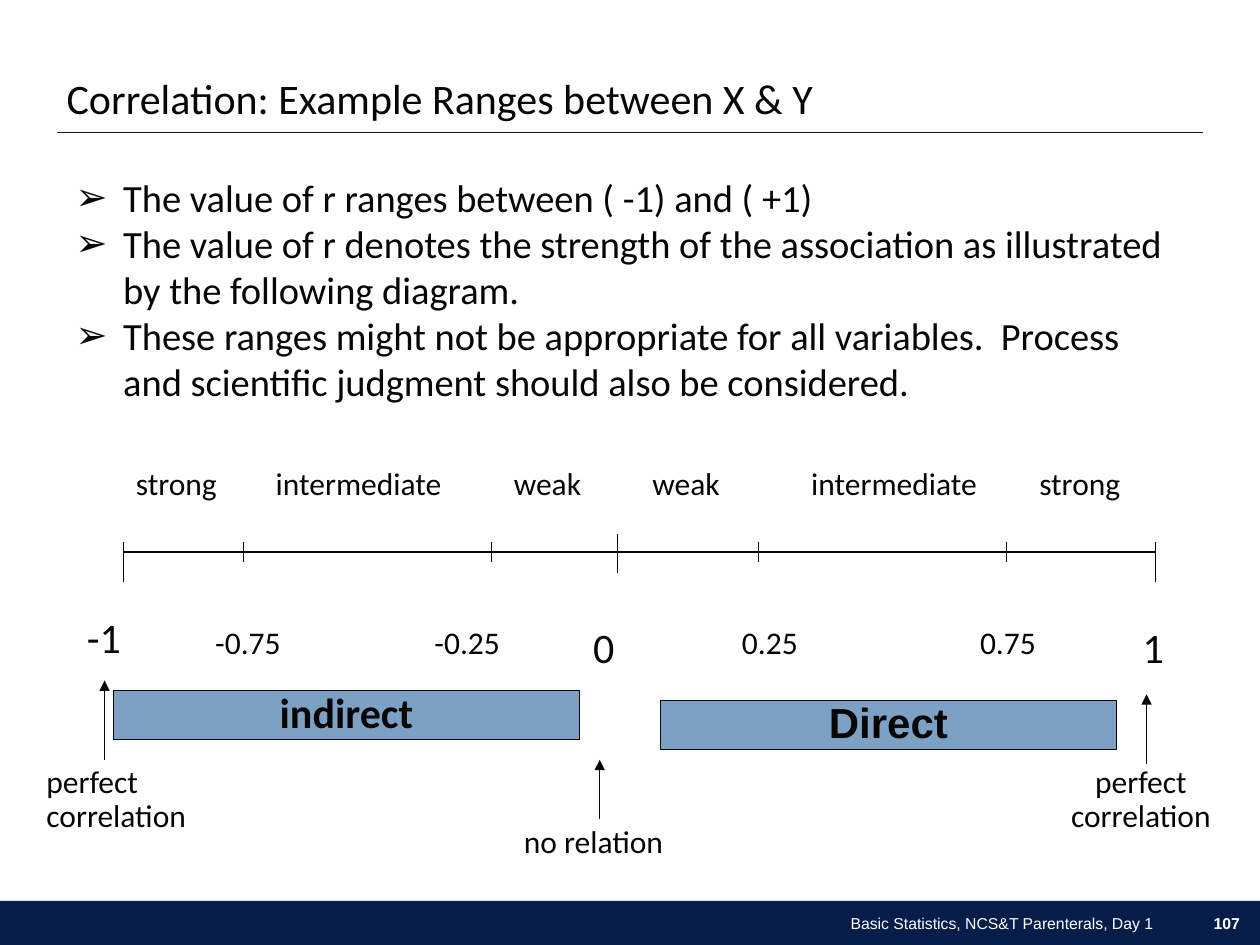
from typing import NamedTuple

from lxml.etree import SubElement
from pptx import Presentation
from pptx.dml.color import RGBColor
from pptx.enum.shapes import MSO_CONNECTOR, MSO_SHAPE
from pptx.enum.text import MSO_ANCHOR, PP_ALIGN
from pptx.oxml.ns import qn
from pptx.util import Inches, Pt

INK, NAVY, STEEL, WHITE = "070605", "071D49", "7DA1C4", "FFFFFF"
LEFT, CENTER, RIGHT = PP_ALIGN.LEFT, PP_ALIGN.CENTER, PP_ALIGN.RIGHT

deck = Presentation()
deck.slide_width, deck.slide_height = Inches(10), Inches(7.5)
slide = deck.slides.add_slide(deck.slide_layouts[6])


class Area(NamedTuple):
    """Left, top, width and height as percent of the slide's size."""
    left: float
    top: float
    width: float
    height: float


class Style(NamedTuple):
    size: float = 18
    font: str = "Calibri"
    color: str = INK
    bold: bool = False
    align: PP_ALIGN = LEFT
    spacing: float = 0.9


class Label(NamedTuple):
    text: str
    area: Area
    style: Style = Style()
    wrap: bool = True
    anchor: MSO_ANCHOR = MSO_ANCHOR.TOP


class Bar(NamedTuple):
    text: str
    area: Area
    font: str


class Stroke(NamedTuple):
    """A line between two points in percent of the slide's size."""
    x1: float
    y1: float
    x2: float
    y2: float
    color: str = INK
    arrow: bool = False


def across(share: float) -> int:
    return round(deck.slide_width * share / 100)


def down(share: float) -> int:
    return round(deck.slide_height * share / 100)


def place(area: Area) -> tuple[int, int, int, int]:
    return across(area.left), down(area.top), across(area.width), down(area.height)


def rgb(color: str) -> RGBColor:
    return RGBColor.from_string(color)


def write(paragraph, text: str, style: Style) -> None:
    """Add one run per line of the text, with line breaks between them."""
    paragraph.alignment = style.align
    paragraph.line_spacing = style.spacing
    for number, line in enumerate(text.split("\n")):
        if number:
            paragraph.add_line_break()
        run = paragraph.add_run()
        run.text = line
        run.font.size = Pt(style.size)
        run.font.name = style.font
        run.font.bold = style.bold
        run.font.color.rgb = rgb(style.color)


def draw_label(label: Label) -> None:
    frame = slide.shapes.add_textbox(*place(label.area)).text_frame
    frame.word_wrap = label.wrap
    frame.vertical_anchor = label.anchor
    write(frame.paragraphs[0], label.text, label.style)


def draw_block(area: Area, fill: str):
    block = slide.shapes.add_shape(MSO_SHAPE.RECTANGLE, *place(area))
    block.shadow.inherit = False
    block.fill.solid()
    block.fill.fore_color.rgb = rgb(fill)
    block.line.fill.background()
    return block


def draw_bar(bar: Bar) -> None:
    block = draw_block(bar.area, STEEL)
    block.line.color.rgb = rgb(INK)
    block.line.width = Pt(0.75)
    block.text_frame.word_wrap = False
    block.text_frame.vertical_anchor = MSO_ANCHOR.MIDDLE
    style = Style(24, bar.font, bold=True, align=CENTER)
    write(block.text_frame.paragraphs[0], bar.text, style)


def draw_stroke(stroke: Stroke) -> None:
    line = slide.shapes.add_connector(
        MSO_CONNECTOR.STRAIGHT, across(stroke.x1), down(stroke.y1),
        across(stroke.x2), down(stroke.y2))
    line.line.color.rgb = rgb(stroke.color)
    line.line.width = Pt(0.75)
    properties = line._element.spPr
    if stroke.arrow:
        SubElement(properties.find(qn("a:ln")), qn("a:tailEnd"), type="triangle")
    SubElement(properties, qn("a:effectLst"))


def draw_bullets(area: Area, points: list[str]) -> None:
    frame = slide.shapes.add_textbox(*place(area)).text_frame
    frame.word_wrap = True
    for number, point in enumerate(points):
        paragraph = frame.add_paragraph() if number else frame.paragraphs[0]
        write(paragraph, point, Style(22, spacing=1.0))
        properties = paragraph._p.get_or_add_pPr()
        properties.set("marL", str(Inches(0.38)))
        properties.set("indent", str(-Inches(0.38)))
        SubElement(properties, qn("a:buFont"), typeface="Arial")
        SubElement(properties, qn("a:buChar"), char="➢")


BULLETS = [
    "The value of r ranges between ( -1) and ( +1)",
    "The value of r denotes the strength of the association as illustrated\n"
    "by the following diagram.",
    "These ranges might not be appropriate for all variables.  Process and "
    "scientific judgment should also be considered.",
]

SCALE_START, SCALE_END, SCALE_ROW = 9.8, 91.7, 58.4
TICK_TOP, TICK_END, LIMIT_END = 57.33, 59.47, 61.6
STRENGTH_ROW, VALUE_ROW, SMALL, LARGE = 48.93, 65.73, 4.93, 6.27

strokes = [
    Stroke(4.5, 14, 95.5, 14, NAVY),
    Stroke(SCALE_START, SCALE_ROW, SCALE_END, SCALE_ROW),
    *(Stroke(x, TICK_TOP, x, LIMIT_END) for x in (SCALE_START, SCALE_END)),
    *(Stroke(x, TICK_TOP, x, TICK_END) for x in (19.3, 39, 60.2, 79.9)),
    Stroke(49, 56.53, 49, 60.67),
    Stroke(8.3, 80.4, 8.3, 72, arrow=True),
    Stroke(47.6, 86.67, 47.6, 80.4, arrow=True),
    Stroke(91, 80.8, 91, 73.47, arrow=True),
]

strengths = [("strong", 9.8, 9.4), ("intermediate", 20.9, 17.3), ("weak", 39.8, 8.7),
             ("weak", 50.8, 8.7), ("intermediate", 63.4, 17.3), ("strong", 81.5, 9.4)]
values = [("-0.75", 16.1), ("-0.25", 33.5), ("0.25", 57.9), ("0.75", 76.8)]
footer = Style(9, "Arial", WHITE, align=RIGHT, spacing=1.0)

labels = [
    Label("Correlation: Example Ranges between X & Y", Area(4.3, 7.6, 69.9, 6.13), Style(24)),
    *(Label(text, Area(x, STRENGTH_ROW, width, SMALL)) for text, x, width in strengths),
    *(Label(text, Area(x, VALUE_ROW, 8.7, SMALL)) for text, x in values),
    Label("-1", Area(5.9, 64.67, 4.8, LARGE), Style(24), wrap=False),
    Label("0", Area(46.1, VALUE_ROW, 3.9, LARGE), Style(24)),
    Label("1", Area(89.7, VALUE_ROW, 3.7, LARGE), Style(24), wrap=False),
    Label("perfect correlation", Area(2.7, 80.4, 18.9, 8.67)),
    Label("no relation", Area(40.6, 86.8, 15, SMALL)),
    Label("perfect correlation", Area(81.1, 80.4, 18.9, 8.67), Style(align=CENTER)),
    Label("Basic Statistics, NCS&T Parenterals, Day 1", Area(32.5, 96.4, 60, 2.67),
          footer, anchor=MSO_ANCHOR.MIDDLE),
    Label("107", Area(92.8, 96.67, 6.6, 2.13), footer._replace(bold=True),
          anchor=MSO_ANCHOR.MIDDLE),
]

bars = [Bar("indirect", Area(9, 73.07, 37, 5.2), "Calibri"),
        Bar("Direct", Area(52.4, 74.13, 36.2, 5.2), "Arial")]

draw_block(Area(0, 95.33, 100, 4.67), NAVY)
draw_bullets(Area(5, 17.73, 90, 30.4), BULLETS)
for stroke in strokes:
    draw_stroke(stroke)
for bar in bars:
    draw_bar(bar)
for label in labels:
    draw_label(label)

deck.save("out.pptx")
